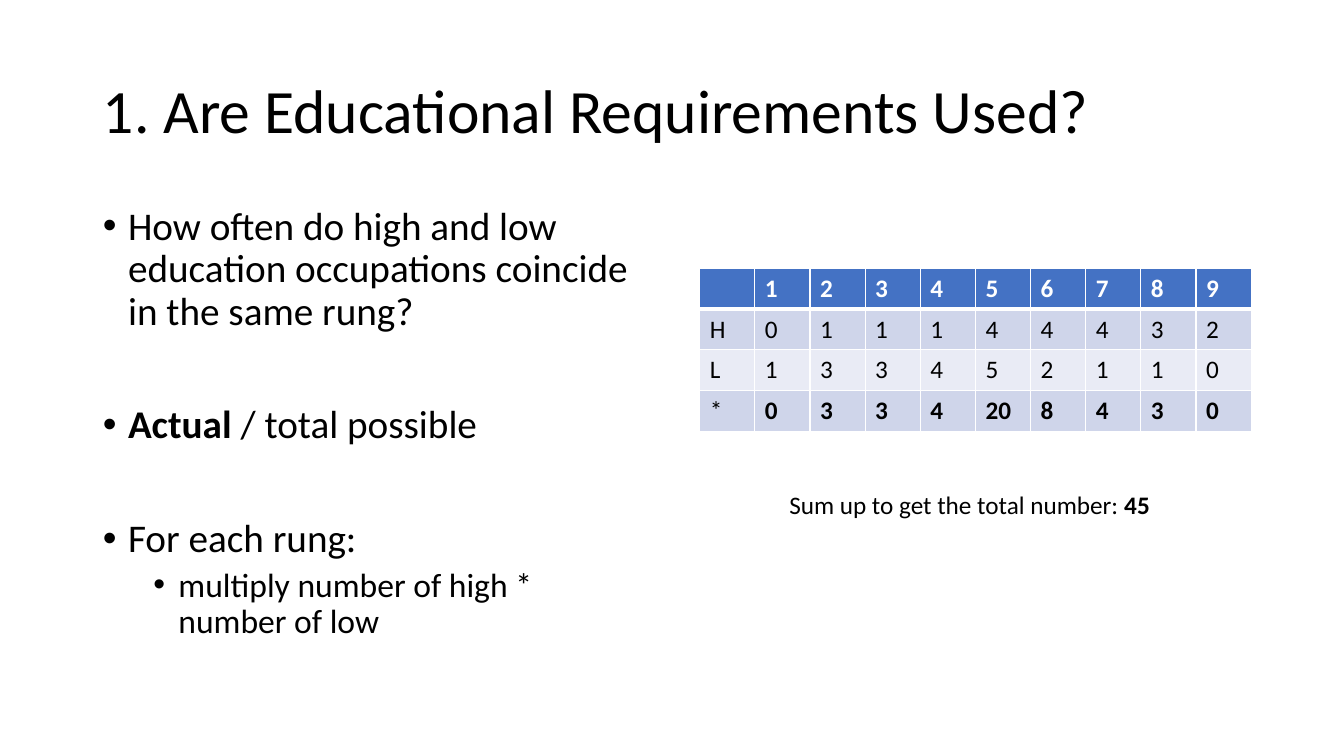
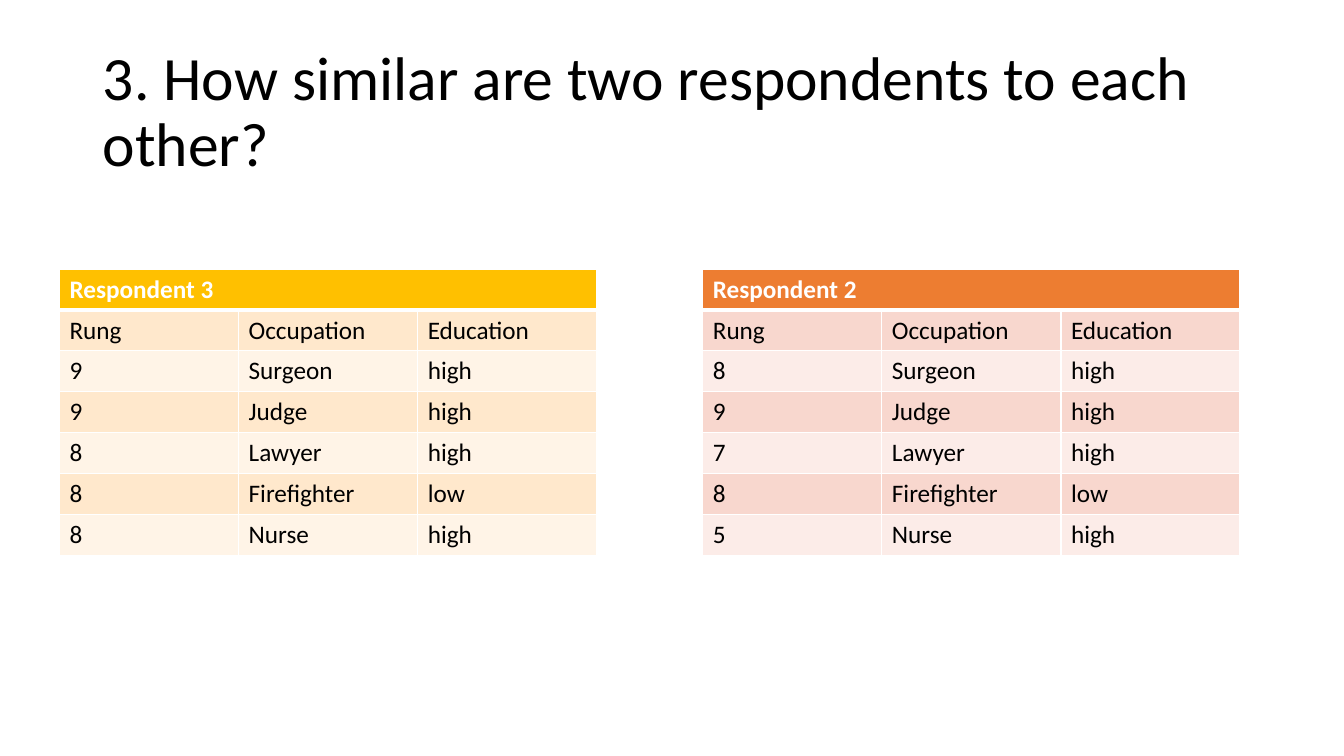
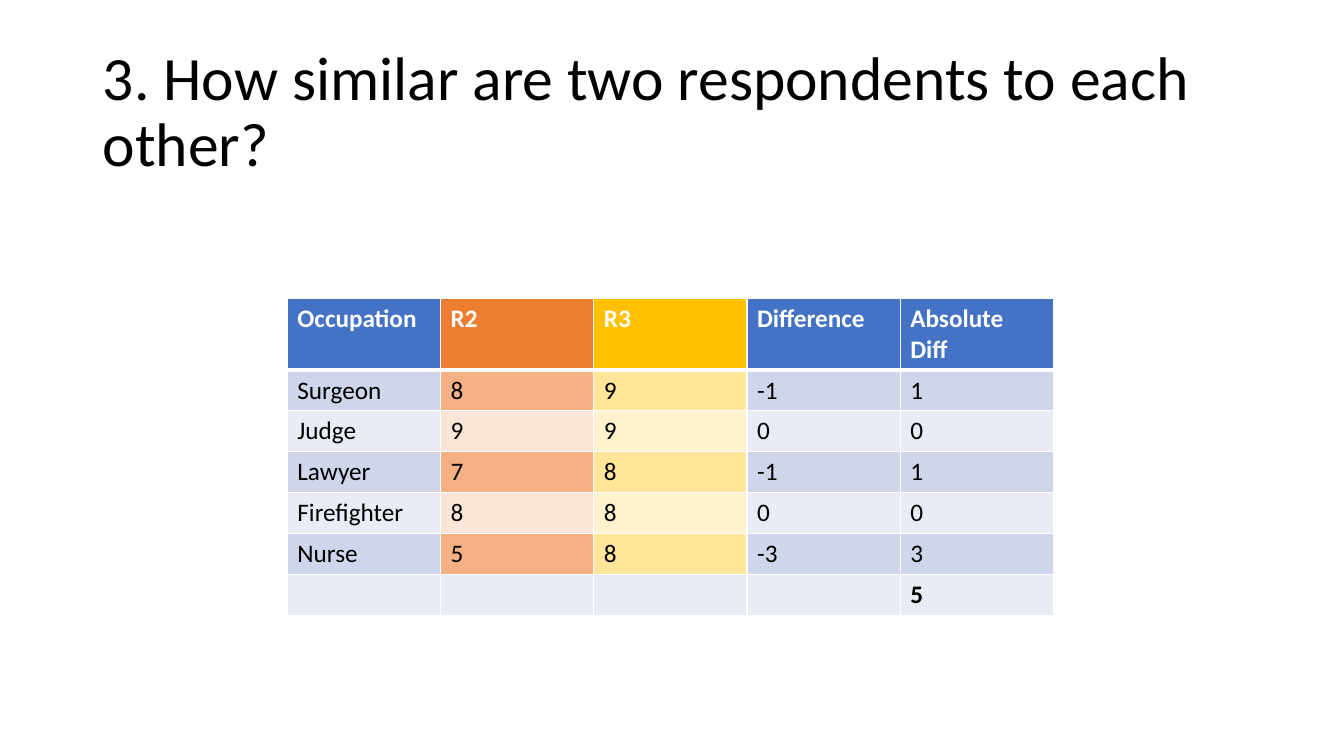
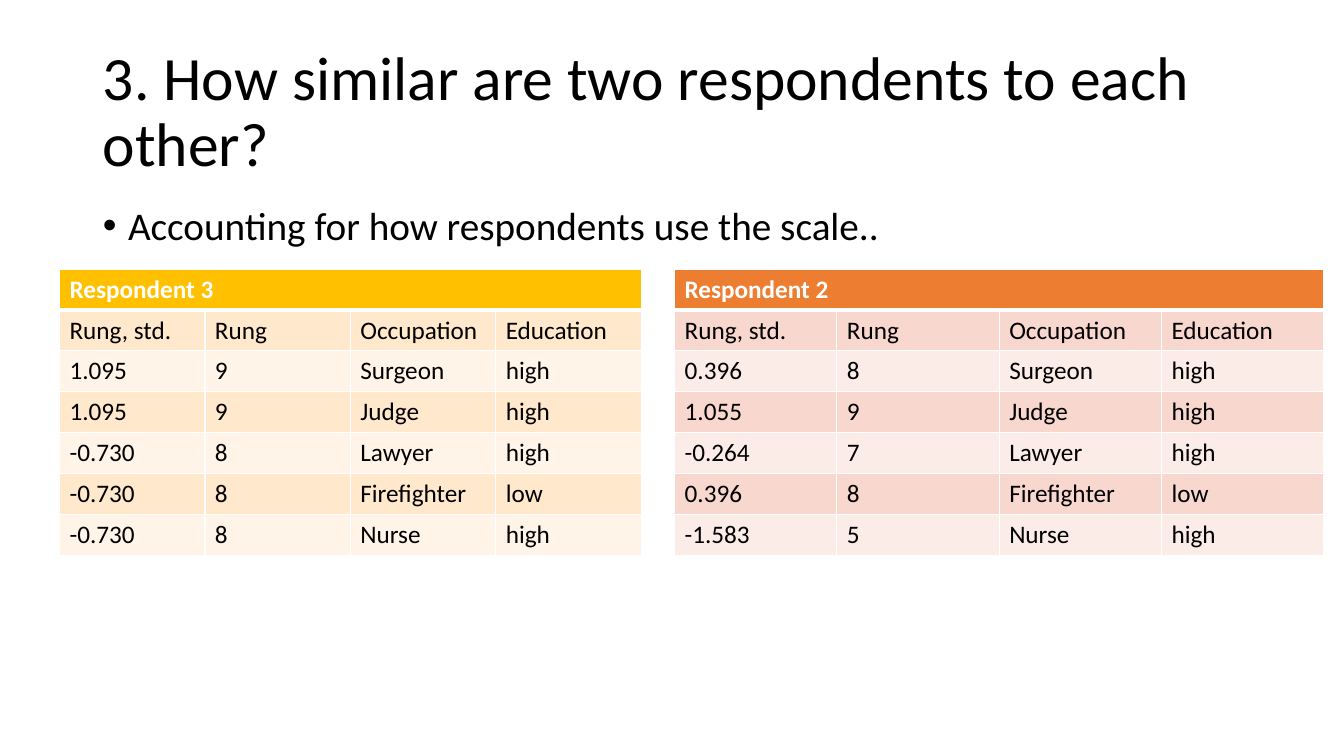
"""Build four slides on occupations, rungs and how alike respondents are."""
from dataclasses import dataclass
from typing import Any, NamedTuple

from lxml.etree import SubElement as Sub
from pptx import Presentation
from pptx.dml.color import RGBColor as Rgb
from pptx.enum.text import MSO_ANCHOR as Anchor, MSO_AUTO_SIZE as Auto, PP_ALIGN as Align
from pptx.oxml.ns import qn
from pptx.util import Inches, Pt

FONT, BLACK, WHITE = "Calibri", "000000", "FFFFFF"
ROW = 2.84 / 7
TITLE_BOX = (0.92, 0.4, 11.5, 1.45)


class Tone(NamedTuple):
    head: str
    dark: str
    pale: str


class Run(NamedTuple):
    text: str
    bold: bool = False


class Item(NamedTuple):
    runs: tuple[Run, ...]
    level: int = 0
    before: float = 10


@dataclass
class Grid:
    left: float
    top: float
    width: float
    rows: list[tuple]
    tones: tuple[Tone, ...]
    head: float = ROW
    foot: bool = False


BLUE = Tone("4472C4", "CFD5EA", "E9EBF5")
GOLD = Tone("FFC000", "FFE8CC", "FFF4E7")
RUST = Tone("ED7D31", "F8D7CE", "FCECE8")
R2_TONE = Tone("ED7D31", "F4B183", "FBE5D6")
R3_TONE = Tone("FFC000", "FFE699", "FFF2CC")

JOBS = ("Surgeon", "Judge", "Lawyer", "Firefighter", "Nurse")
LEVELS = ("high", "high", "high", "low", "high")
R2, R3 = (8, 9, 7, 8, 5), (9, 9, 8, 8, 8)
R2_STD = ("0.396", "1.055", "-0.264", "0.396", "-1.583")
R3_STD = ("1.095", "1.095", "-0.730", "-0.730", "-0.730")
HIGH, LOW = (0, 1, 1, 1, 4, 4, 4, 3, 2), (1, 3, 3, 4, 5, 2, 1, 1, 0)
HEADS = ("Rung", "Occupation", "Education")
ALIKE = "3. How similar are two respondents to each other?"


def shade(part: Any, tint: str) -> None:
    """Give a font's colour or a solid fill a hex tint."""
    part.rgb = Rgb.from_string(tint)


def form(thing: Any, **vals: Any) -> None:
    """Set each format value on the thing."""
    for name, val in vals.items():
        setattr(thing, name, val)


def write(para: Any, runs: tuple[Run, ...], size: float, tint: str = BLACK) -> None:
    """Add styled runs to a paragraph."""
    for text, bold in runs:
        run = para.add_run()
        run.text = text
        form(run.font, name=FONT, size=Pt(size), bold=bold)
        shade(run.font.color, tint)


def place(shape: Any, box: tuple[float, ...]) -> Any:
    """Move a shape to its box and return its text frame."""
    form(shape, **dict(zip(("left", "top", "width", "height"), map(Inches, box))))
    form(shape.text_frame, word_wrap=True, auto_size=Auto.NONE)
    return shape.text_frame


def page(deck: Any, title: str, layout: int = 5) -> Any:
    """Add a slide with the shared title style."""
    slide = deck.slides.add_slide(deck.slide_layouts[layout])
    frame = place(slide.shapes.title, TITLE_BOX)
    frame.vertical_anchor = Anchor.MIDDLE
    para = frame.paragraphs[0]
    form(para, alignment=Align.LEFT, line_spacing=0.9)
    write(para, (Run(title),), 44)
    return slide


def points(slide: Any, width: float, items: list[Item]) -> None:
    """Fill the body placeholder with a bullet list."""
    frame = place(slide.placeholders[1], (0.92, 2, width, 4.76))
    frame.vertical_anchor = Anchor.TOP
    for num, item in enumerate(items):
        para = frame.add_paragraph() if num else frame.paragraphs[0]
        form(para, level=item.level, line_spacing=0.9, space_before=Pt(item.before))
        props = para._p.get_or_add_pPr()
        props.set("marL", str(Inches(0.25 + 0.5 * item.level)))
        props.set("indent", str(Inches(-0.25)))
        Sub(props, qn("a:buFont"), typeface="Arial")
        Sub(props, qn("a:buChar"), char="•")
        write(para, item.runs, 28 - 4 * item.level)


def edge(cell: Any, row: int) -> None:
    """Draw white cell borders, thick below the header."""
    props = cell._tc.get_or_add_tcPr()
    for side in "LRTB":
        thick = (side, row) in (("B", 0), ("T", 1))
        line = Sub(props, qn(f"a:ln{side}"), w=str(Pt(3 if thick else 1)))
        Sub(Sub(line, qn("a:solidFill")), qn("a:srgbClr"), val=WHITE)


def draw(slide: Any, grid: Grid) -> None:
    """Draw a banded table."""
    count, span = len(grid.rows), len(grid.tones)
    tall = grid.head + ROW * (count - 1)
    size = map(Inches, (grid.left, grid.top, grid.width, tall))
    table = slide.shapes.add_table(count, span, *size).table
    for col in table.columns:
        col.width = Inches(grid.width / span)
    for row, vals in enumerate(grid.rows):
        table.rows[row].height = Inches(ROW if row else grid.head)
        last = grid.foot and row == count - 1
        for col in range(span):
            cell = table.cell(row, col)
            tone = grid.tones[0 if last else col]
            edge(cell, row)
            cell.fill.solid()
            shade(cell.fill.fore_color, (tone.dark if row % 2 else tone.pale) if row else tone.head)
            if col < len(vals) and vals[col] != "":
                run = Run(str(vals[col]), row == 0 or (last and col > 0))
                write(cell.text_frame.paragraphs[0], (run,), 18, BLACK if row else WHITE)
    if len(grid.rows[0]) == 1:
        table.cell(0, 0).merge(table.cell(0, span - 1))


def person(num: int, left: float, width: float, tone: Tone, ranks: tuple, std: tuple = ()) -> Grid:
    """Make the table of one respondent, with standard scores if given."""
    lists = ((std,) if std else ()) + (ranks, JOBS, LEVELS)
    heads = (("Rung, std.",) if std else ()) + HEADS
    rows = [(f"Respondent {num}",), heads, *zip(*lists)]
    return Grid(left, 2.67, width, rows, (tone,) * len(heads))


def main() -> None:
    """Build and save the deck."""
    deck = Presentation()
    form(deck, slide_width=Inches(13.33), slide_height=Inches(7.5))

    slide = page(deck, "1. Are Educational Requirements Used?", 1)
    points(slide, 5.47, [
        Item((Run("How often do high and low education occupations coincide in the same rung?"),)),
        Item((Run("Actual", True), Run(" / total possible")), before=51),
        Item((Run("For each rung:"),), before=51),
        Item((Run("multiply number of high * number of low"),), 1, 5),
    ])
    pairs = [high * low for high, low in zip(HIGH, LOW)]
    rows = [("", *range(1, 10)), ("H", *HIGH), ("L", *LOW), ("*", *pairs)]
    draw(slide, Grid(6.94, 2.66, 5.47, rows, (BLUE,) * 10, foot=True))
    note = place(slide.shapes.add_textbox(0, 0, 0, 0), (7.73, 4.81, 4.17, 0.4))
    total = Run(str(sum(pairs)), True)
    write(note.paragraphs[0], (Run("Sum up to get the total number: "), total), 18)

    slide = page(deck, ALIKE)
    draw(slide, person(3, 0.59, 5.33, GOLD, R3))
    draw(slide, person(2, 6.97, 5.33, RUST, R2))

    slide = page(deck, ALIKE)
    rows = [(job, two, three, two - three, abs(two - three)) for job, two, three in zip(JOBS, R2, R3)]
    heads = ("Occupation", "R2", "R3", "Difference", "Absolute Diff")
    foot = ("", "", "", "", sum(row[-1] for row in rows))
    tones = (BLUE, R2_TONE, R3_TONE, BLUE, BLUE)
    draw(slide, Grid(2.85, 2.96, 7.6, [heads, *rows, foot], tones, 0.7, True))

    slide = page(deck, ALIKE, 1)
    points(slide, 11.5, [Item((Run("Accounting for how respondents use the scale.."),))])
    draw(slide, person(3, 0.59, 5.77, GOLD, R3, R3_STD))
    draw(slide, person(2, 6.69, 6.44, RUST, R2, R2_STD))

    deck.save("out.pptx")


if __name__ == "__main__":
    main()
